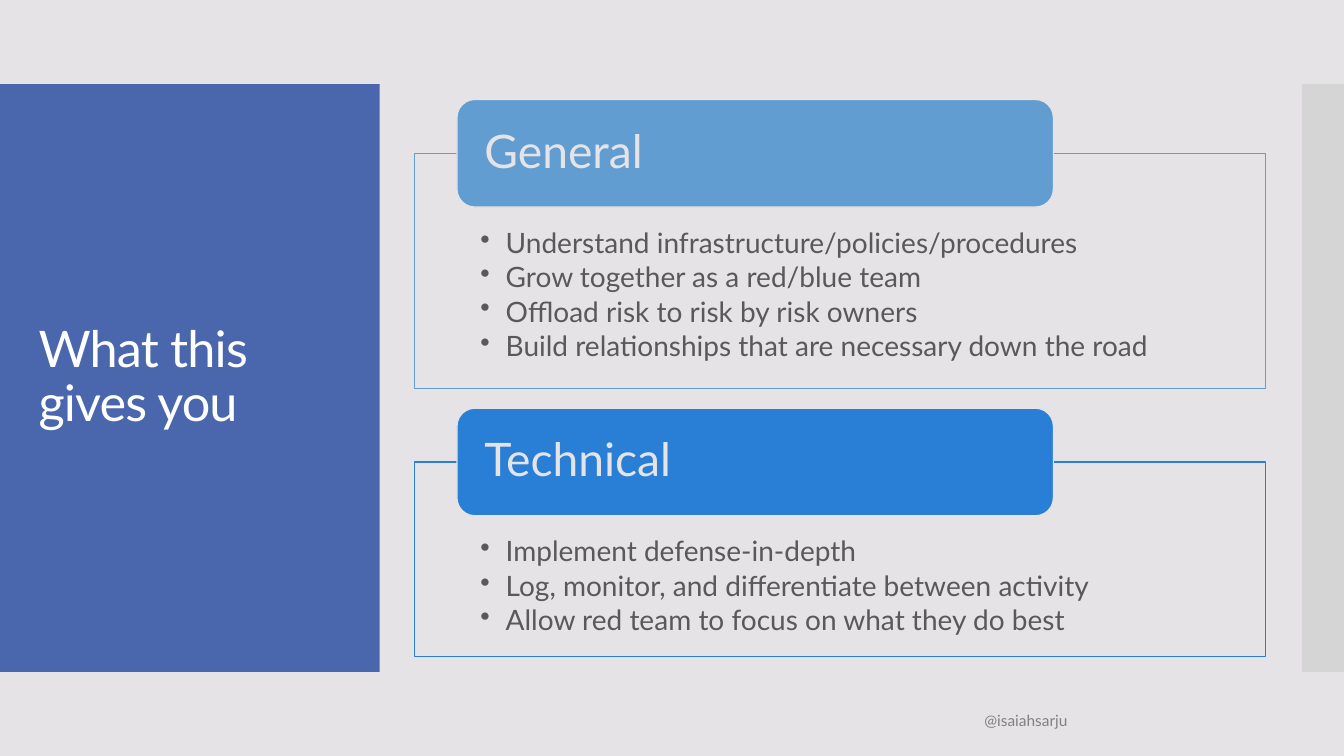
"""Build the "What this gives you" slide with two titled panels."""
import pptx
import pptx.util
import pptx.dml.color
import pptx.enum.shapes
import pptx.enum.text
import pptx.oxml.ns
import lxml.etree

Color = pptx.dml.color.RGBColor
Kind = pptx.enum.shapes.MSO_SHAPE
Align = pptx.enum.text.PP_ALIGN
Anchor = pptx.enum.text.MSO_ANCHOR
qn = pptx.oxml.ns.qn

PAPER = Color(0xE5, 0xE3, 0xE6)
NAVY = Color(0x4A, 0x66, 0xAC)
SKY = Color(0x62, 0x9D, 0xD1)
BLUE = Color(0x29, 0x7F, 0xD5)
SILVER = Color(0xC8, 0xC8, 0xC8)
WHITE = Color(0xFF, 0xFF, 0xFF)
DARK = Color(0x59, 0x59, 0x59)
GRAY = Color(0x80, 0x80, 0x80)

deck = pptx.Presentation()
deck.slide_width = pptx.util.Inches(13.33)
deck.slide_height = pptx.util.Inches(7.5)
COL = deck.slide_width / 160
ROW = deck.slide_height / 90
slide = deck.slides.add_slide(deck.slide_layouts[6])
slide.background.fill.solid()
slide.background.fill.fore_color.rgb = PAPER


def box(kind, left, top, width, height, fill=None, line=None):
    """Add a shape, or a text box if kind is None, in grid units."""
    place = [int(left * COL), int(top * ROW), int(width * COL), int(height * ROW)]
    if kind is None:
        return slide.shapes.add_textbox(*place)
    shape = slide.shapes.add_shape(kind, *place)
    shape.shadow.inherit = False
    shape.fill.solid()
    shape.fill.fore_color.rgb = fill
    if line is None:
        shape.line.fill.background()
    else:
        shape.line.color.rgb = line
        shape.line.width = pptx.util.Pt(0.85)
    return shape


def write(shape, text, size, color, align=Align.LEFT, anchor=Anchor.MIDDLE,
          side=1.2, top=0.6, foot=0.6, lead=0.9, after=0, track=0, bullet=False):
    """Fill a shape with text, one paragraph a line."""
    frame = shape.text_frame
    frame.word_wrap = True
    frame.vertical_anchor = anchor
    frame.margin_left = frame.margin_right = int(side * COL)
    frame.margin_top, frame.margin_bottom = int(top * ROW), int(foot * ROW)
    frame.text = text
    for para in frame.paragraphs:
        para.alignment = align
        para.line_spacing = lead
        para.space_after = pptx.util.Pt(after)
        font = para.runs[0].font
        font.name, font.size = "Lato", pptx.util.Pt(size)
        font.color.rgb = color
        if track:
            para.runs[0].font._element.set("spc", str(track))
        if bullet:
            props = para._p.get_or_add_pPr()
            props.set("marL", str(int(3 * COL)))
            props.set("indent", str(int(-3 * COL)))
            lxml.etree.SubElement(props, qn("a:buChar")).set("char", "•")


box(Kind.RECTANGLE, 0, 10, 45.2, 70, NAVY)
stripe = box(Kind.RECTANGLE, 155, 10, 5, 70, SILVER)
tint = stripe.fill._xPr.find(".//" + qn("a:srgbClr"))
lxml.etree.SubElement(tint, qn("a:alpha")).set("val", "50000")

title = box(None, 3.4, 14.8, 38.6, 60.4)
write(title, "What this gives you", 36, WHITE, track=-60)

PANELS = [
    ("General", SKY, 28, [
        "Understand infrastructure/policies/procedures",
        "Grow together as a red/blue team",
        "Offload risk to risk by risk owners",
        "Build relationships that are necessary down the road"]),
    ("Technical", BLUE, 23.2, [
        "Implement defense-in-depth",
        "Log, monitor, and differentiate between activity",
        "Allow red team to focus on what they do best"]),
]
HEAD = 12.8
GAP = 2.35
top = 11.85
for name, color, height, points in PANELS:
    middle = top + HEAD / 2
    panel = box(Kind.RECTANGLE, 49.3, middle, 101.4, height, PAPER, color)
    write(panel, "\n".join(points), 20, DARK, anchor=Anchor.TOP,
          side=7.9, top=9, foot=1.9, after=3, bullet=True)
    head = box(Kind.ROUNDED_RECTANGLE, 54.4, top, 71, HEAD, color, PAPER)
    write(head, name, 33, PAPER, side=2.65, top=0, foot=0)
    top = middle + height + GAP

handle = box(None, 50.8, 83.4, 77.5, 4.8)
write(handle, "@isaiahsarju", 11, GRAY, align=Align.RIGHT, lead=1)

deck.save("out.pptx")
